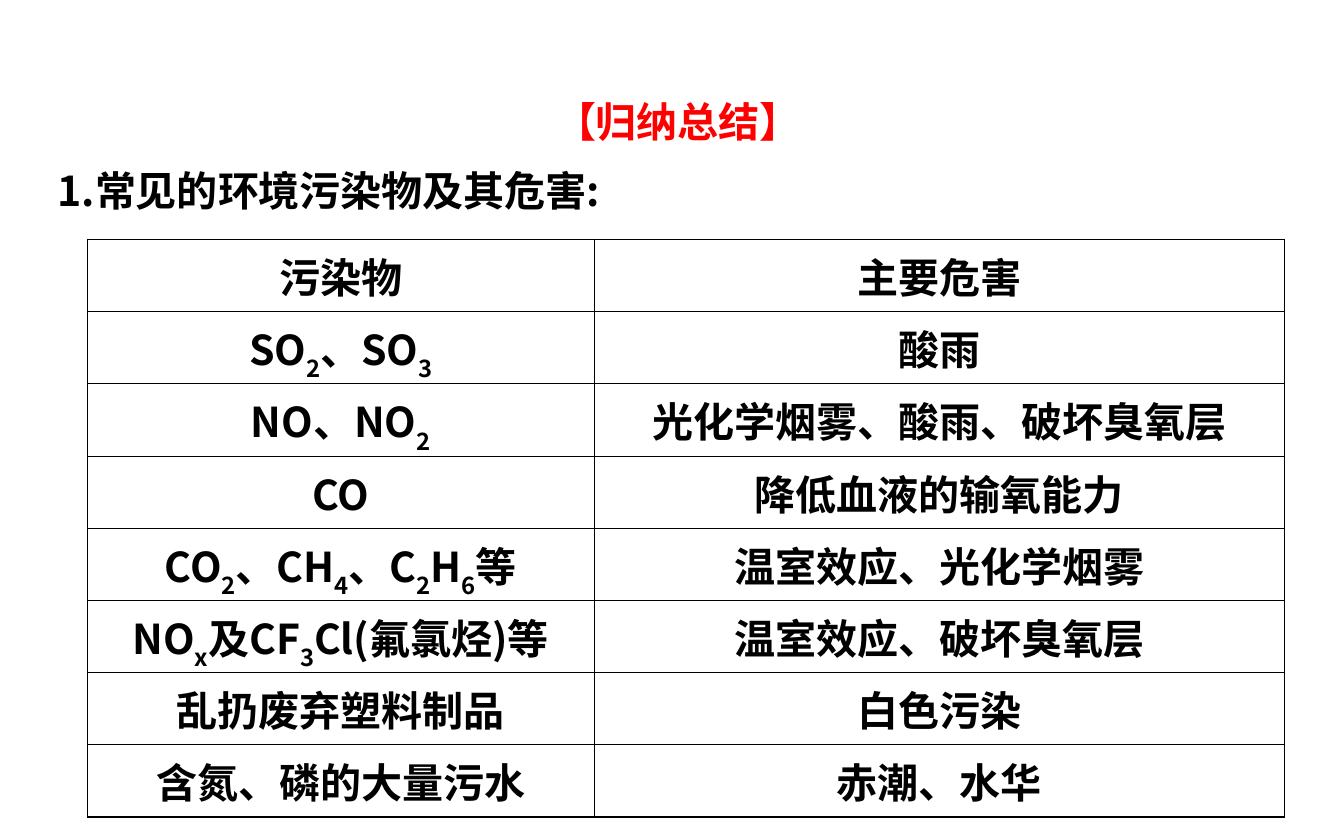
from lxml import etree
from pptx import Presentation
from pptx.dml.color import RGBColor
from pptx.enum.text import MSO_ANCHOR, MSO_AUTO_SIZE, PP_ALIGN
from pptx.oxml.ns import qn
from pptx.util import Inches, Pt

CENTER, LEFT = PP_ALIGN.CENTER, PP_ALIGN.LEFT
MIDDLE = MSO_ANCHOR.MIDDLE
GROW = MSO_AUTO_SIZE.SHAPE_TO_FIT_TEXT

FONT = "Noto Sans CJK SC"
COLORS = {"title": "FF0000", "text": "000000", "border": "000000"}
OUTER, INNER = 0.75, 0.45
SUBSCRIPT_MARK, SUBSCRIPT = "_", "-30000"

HEADINGS = [
    ("【归纳总结】", CENTER, "title"),
    ("1.常见的环境污染物及其危害:", LEFT, "text"),
]
ROWS = [
    ("污染物", "主要危害"),
    ("SO_2_、SO_3", "酸雨"),
    ("NO、NO_2", "光化学烟雾、酸雨、破坏臭氧层"),
    ("CO", "降低血液的输氧能力"),
    ("CO_2_、CH_4_、C_2_H_6_等", "温室效应、光化学烟雾"),
    ("NO_x_及CF_3_Cl(氟氯烃)等", "温室效应、破坏臭氧层"),
    ("乱扔废弃塑料制品", "白色污染"),
    ("含氮、磷的大量污水", "赤潮、水华"),
]
COLUMN_WIDTHS = [3.77, 5.14]
ROW_HEIGHT = 4.3 / len(ROWS)


def write(para, text, align, color):
    para.alignment = align
    for index, piece in enumerate(text.split(SUBSCRIPT_MARK)):
        if not piece:
            continue
        span = para.add_run()
        span.text = piece
        span.font.size = Pt(22)
        span.font.bold = True
        span.font.name = FONT
        span.font.color.rgb = RGBColor.from_string(COLORS[color])
        properties = span._r.get_or_add_rPr()
        etree.SubElement(properties, qn("a:ea"), typeface=FONT)
        if index % 2:
            properties.set("baseline", SUBSCRIPT)


def draw_border(cell, side, points):
    line = etree.SubElement(cell._tc.get_or_add_tcPr(), qn("a:ln" + side), w=str(Pt(points)))
    fill = etree.SubElement(line, qn("a:solidFill"))
    etree.SubElement(fill, qn("a:srgbClr"), val=COLORS["border"])


def add_headings(page):
    box = page.shapes.add_textbox(Inches(0.33), Inches(0.52), Inches(9.43), Inches(1.13))
    frame = box.text_frame
    frame.word_wrap = True
    frame.auto_size = GROW
    for index, (text, align, color) in enumerate(HEADINGS):
        para = frame.add_paragraph() if index else frame.paragraphs[0]
        para.line_spacing = 1.4
        write(para, text, align, color)


def add_pollutant_table(page):
    last_row, last_column = len(ROWS) - 1, len(COLUMN_WIDTHS) - 1
    table = page.shapes.add_table(
        len(ROWS), len(COLUMN_WIDTHS), Inches(0.65), Inches(1.78),
        Inches(sum(COLUMN_WIDTHS)), Inches(ROW_HEIGHT * len(ROWS)),
    ).table
    table.first_row = table.horz_banding = False
    for column, width in zip(table.columns, COLUMN_WIDTHS):
        column.width = Inches(width)
    for r, texts in enumerate(ROWS):
        table.rows[r].height = Inches(ROW_HEIGHT)
        for c, text in enumerate(texts):
            cell = table.cell(r, c)
            cell.vertical_anchor = MIDDLE
            edges = {"L": c == 0, "R": c == last_column, "T": r == 0, "B": r == last_row}
            for side, is_outer in edges.items():
                draw_border(cell, side, OUTER if is_outer else INNER)
            cell.fill.background()
            write(cell.text_frame.paragraphs[0], text, CENTER, "text")


def main():
    deck = Presentation()
    deck.slide_width, deck.slide_height = Inches(10), Inches(6.25)
    page = deck.slides.add_slide(deck.slide_layouts[6])
    add_headings(page)
    add_pollutant_table(page)
    deck.save("out.pptx")


if __name__ == "__main__":
    main()
